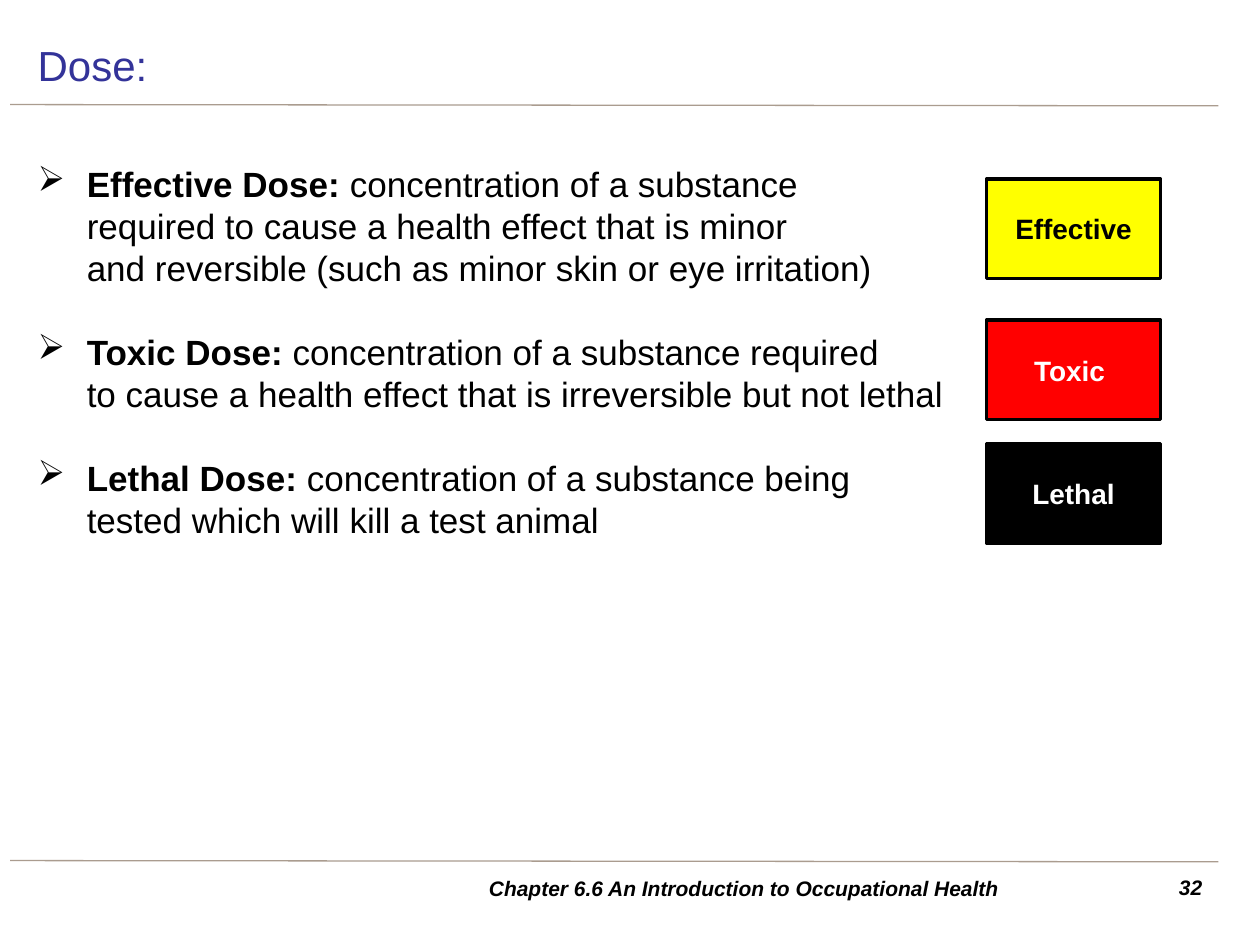
from lxml import etree
from pptx import Presentation
from pptx.dml.color import RGBColor
from pptx.enum.shapes import MSO_CONNECTOR, MSO_SHAPE
from pptx.enum.text import MSO_ANCHOR, PP_ALIGN
from pptx.oxml.ns import qn
from pptx.util import Inches, Pt

STRAIGHT = MSO_CONNECTOR.STRAIGHT
RECTANGLE = MSO_SHAPE.RECTANGLE
TOP, MIDDLE = MSO_ANCHOR.TOP, MSO_ANCHOR.MIDDLE
LEFT, CENTER, RIGHT = PP_ALIGN.LEFT, PP_ALIGN.CENTER, PP_ALIGN.RIGHT

BLACK = RGBColor(0x00, 0x00, 0x00)
WHITE = RGBColor(0xFF, 0xFF, 0xFF)
YELLOW = RGBColor(0xFF, 0xFF, 0x00)
RED = RGBColor(0xFF, 0x00, 0x00)
NAVY = RGBColor(0x33, 0x33, 0x99)
TAUPE = RGBColor(0xAA, 0x9C, 0x8F)

DEFINITIONS = [
    ("Effective Dose:", [" concentration of a substance ",
                         "required to cause a health effect that is minor ",
                         "and reversible (such as minor skin or eye irritation)"]),
    ("Toxic Dose: ", ["concentration of a substance required ",
                      "to cause a health effect that is irreversible but not lethal"]),
    ("Lethal Dose: ", ["concentration of a substance being ",
                       "tested which will kill a test animal"]),
]
# Label, top within the column, fill, text colour
DOSE_LEVELS = [
    ("Effective", 0, YELLOW, BLACK),
    ("Toxic ", 1.12, RED, WHITE),
    ("Lethal", 2.1, BLACK, WHITE),
]


def set_font(paragraph, size, color, bold=None, italic=None):
    """Set the Arial font of a whole paragraph."""
    font = paragraph.font
    font.name, font.size = "Arial", Pt(size)
    font.bold, font.italic = bold, italic
    font.color.rgb = color


def add_frame(slide, left, top, width, height, anchor):
    """Add a wrapping text box and return its text frame."""
    box = slide.shapes.add_textbox(Inches(left), Inches(top), Inches(width), Inches(height))
    box.text_frame.word_wrap = True
    box.text_frame.vertical_anchor = anchor
    return box.text_frame


def add_rule(slide, left, top, width):
    """Add a thin rule across the slide, dropping slightly to the right."""
    rule = slide.shapes.add_connector(
        STRAIGHT, Inches(left), Inches(top), Inches(left + width), Inches(top + 0.01))
    rule.line.color.rgb = TAUPE
    rule.line.width = Pt(0.75)
    etree.SubElement(rule._element.spPr, qn("a:effectLst"))


def add_title(slide, left, top, width, height):
    """Add the slide title with the rule beneath it."""
    title = add_frame(slide, left, top, width, height, MIDDLE).paragraphs[0]
    title.text = "Dose:"
    set_font(title, 24, NAVY)
    add_rule(slide, left - 0.12, top + 0.59, 9.59)


def add_bullet(paragraph, character, indent):
    """Give a paragraph a hanging bullet."""
    properties = paragraph._p.get_or_add_pPr()
    properties.set("marL", str(Inches(indent)))
    properties.set("indent", str(-Inches(indent)))
    etree.SubElement(properties, qn("a:buChar")).set("char", character)


def add_definitions(slide, left, top, width, height):
    """Add the bulleted definitions, one blank line's height apart."""
    frame = add_frame(slide, left, top, width, height, TOP)
    frame.margin_top = Inches(0.38)
    for index, (term, lines) in enumerate(DEFINITIONS):
        definition = frame.add_paragraph() if index else frame.paragraphs[0]
        definition.line_spacing = Pt(24)
        if index:
            definition.space_before = Pt(24)
        add_bullet(definition, "\u27a2", 0.39)
        set_font(definition, 20, BLACK)
        term_run = definition.add_run()
        term_run.text = term
        term_run.font.bold = True
        for number, line in enumerate(lines):
            if number:
                definition.add_line_break()
            definition.add_run().text = line


def add_dose_levels(slide, left, top, width, height):
    """Add the column of coloured dose labels, each of the given size."""
    for label, offset, fill, color in DOSE_LEVELS:
        level = slide.shapes.add_shape(
            RECTANGLE, Inches(left), Inches(top + offset), Inches(width), Inches(height))
        level.shadow.inherit = False
        level.fill.solid()
        level.fill.fore_color.rgb = fill
        level.line.color.rgb = BLACK
        level.line.width = Pt(2)
        level.text_frame.vertical_anchor = MIDDLE
        caption = level.text_frame.paragraphs[0]
        caption.text = label
        caption.alignment = CENTER
        set_font(caption, 16, color, bold=True)


def add_footer(slide, left, top, width, height):
    """Add the rule, chapter name and page number at the foot."""
    add_rule(slide, left, top - 0.06, width)
    parts = [
        ("32", 8.98, 0.58, RIGHT, TOP),
        ("Chapter 6.6 An Introduction to Occupational Health", 2.87, 5.91, CENTER, MIDDLE),
    ]
    for text, offset, part_width, alignment, anchor in parts:
        frame = add_frame(slide, left + offset, top, part_width, height, anchor)
        part = frame.paragraphs[0]
        part.text = text
        part.alignment = alignment
        set_font(part, 12, BLACK, bold=True, italic=True)


def build_dose_slide(presentation):
    """Build the slide that defines the three dose levels."""
    slide = presentation.slides.add_slide(presentation.slide_layouts[6])
    add_definitions(slide, 0.2, 0.91, 9.45, 5.83)
    add_title(slide, 0.2, 0.24, 9.45, 0.55)
    add_footer(slide, 0.08, 6.89, 9.59, 0.31)
    add_dose_levels(slide, 7.83, 1.42, 1.38, 0.79)


presentation = Presentation()
presentation.slide_width = Inches(10)
presentation.slide_height = Inches(7.5)
build_dose_slide(presentation)
presentation.save("out.pptx")
